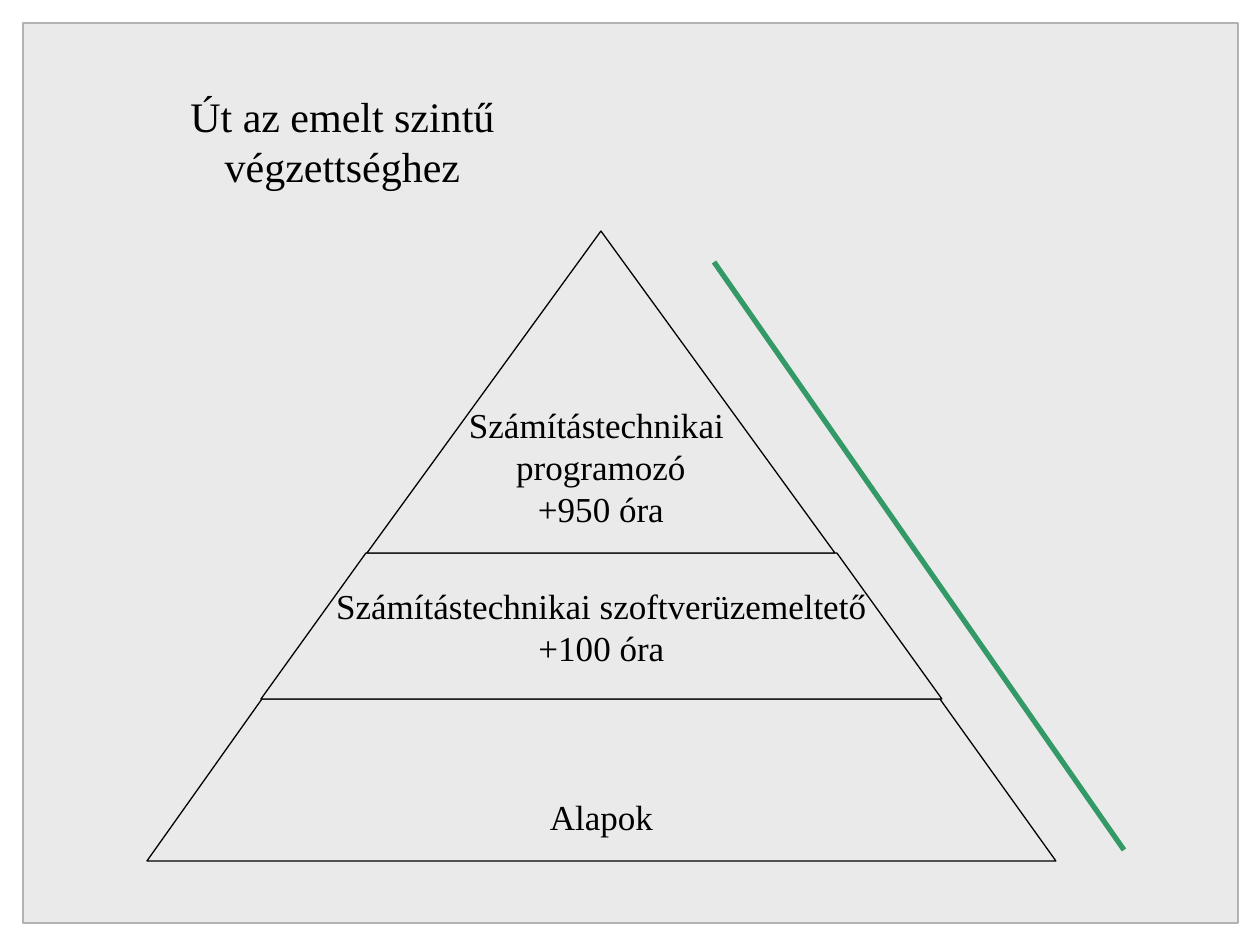
from pptx import Presentation
from pptx.dml.color import RGBColor
from pptx.enum.shapes import MSO_CONNECTOR, MSO_SHAPE
from pptx.enum.text import MSO_ANCHOR, PP_ALIGN
from pptx.oxml.ns import qn
from pptx.util import Pt
from lxml.etree import SubElement

PX = 914400 / 126
COLORS = {"panel": "EAEAEA", "frame": "B2B2B2", "ink": "000000", "slope": "339966"}


def px(n):
    return round(n * PX)


def write(shape, text, size=20, anchor=MSO_ANCHOR.MIDDLE, wrap=False, pads=(0, 0, 0, 0)):
    frame = shape.text_frame
    frame.text = text
    frame.word_wrap = wrap
    frame.vertical_anchor = anchor
    frame.margin_left, frame.margin_top, frame.margin_right, frame.margin_bottom = map(px, pads)
    for par in frame.paragraphs:
        par.alignment = PP_ALIGN.CENTER
        par.font.size = Pt(size)
        par.font.name = "Times New Roman"
        par.font.color.rgb = RGBColor.from_string(COLORS["ink"])


deck = Presentation()
deck.slide_width, deck.slide_height = px(1260), px(945)
slide = deck.slides.add_slide(deck.slide_layouts[5])
shapes = slide.shapes

# Panel, behind the title
panel = shapes.add_shape(MSO_SHAPE.RECTANGLE, px(23), px(23), px(1215), px(900))
shapes._spTree.insert(2, panel._element)

# Title
title = shapes.title
title.left, title.top, title.width, title.height = px(55), px(84), px(575), px(63)
write(title, "Út az emelt szintű végzettséghez", size=24,
      anchor=MSO_ANCHOR.TOP, wrap=True, pads=(50, 6, 50, 6))

# Pyramid levels, bottom to top: corners, text, anchor, insets
levels = [
    ([(147, 861), (262, 699), (940, 699), (1056, 861)],
     "Alapok", MSO_ANCHOR.BOTTOM, (0, 0, 0, 23)),
    ([(261, 699), (366, 553), (837, 553), (942, 699)],
     "Számítástechnikai szoftverüzemeltető\n+100 óra", MSO_ANCHOR.MIDDLE, (0, 0, 0, 0)),
    ([(367, 553), (601, 231), (835, 553)],
     "Számítástechnikai \nprogramozó\n+950 óra", MSO_ANCHOR.BOTTOM, (0, 0, 0, 23)),
]
parts = [(panel, "frame")]
for corners, text, anchor, pads in levels:
    edges = shapes.build_freeform(*corners[0], scale=PX)
    edges.add_line_segments(corners[1:], close=True)
    level = edges.convert_to_shape()
    write(level, text, anchor=anchor, pads=pads)
    parts.append((level, "ink"))

# Shared fill and outline
for part, edge in parts:
    part.shadow.inherit = False
    part.fill.solid()
    part.fill.fore_color.rgb = RGBColor.from_string(COLORS["panel"])
    part.line.color.rgb = RGBColor.from_string(COLORS[edge])
    part.line.width = Pt(0.75)

# Slope line
slope = shapes.add_connector(MSO_CONNECTOR.STRAIGHT, px(1124), px(850), px(714), px(262))
slope.line.color.rgb = RGBColor.from_string(COLORS["slope"])
slope.line.width = Pt(3)
SubElement(slope._element.spPr, qn("a:effectLst"))

deck.save("out.pptx")
